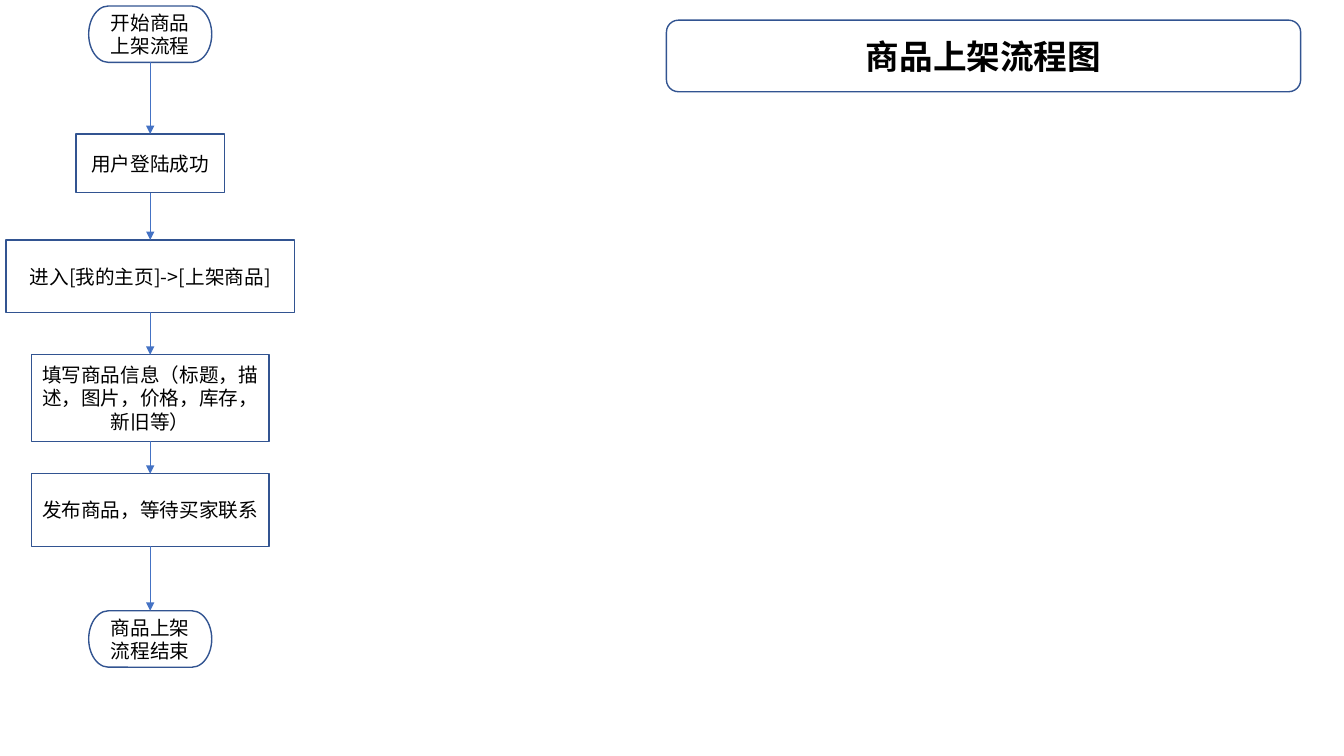
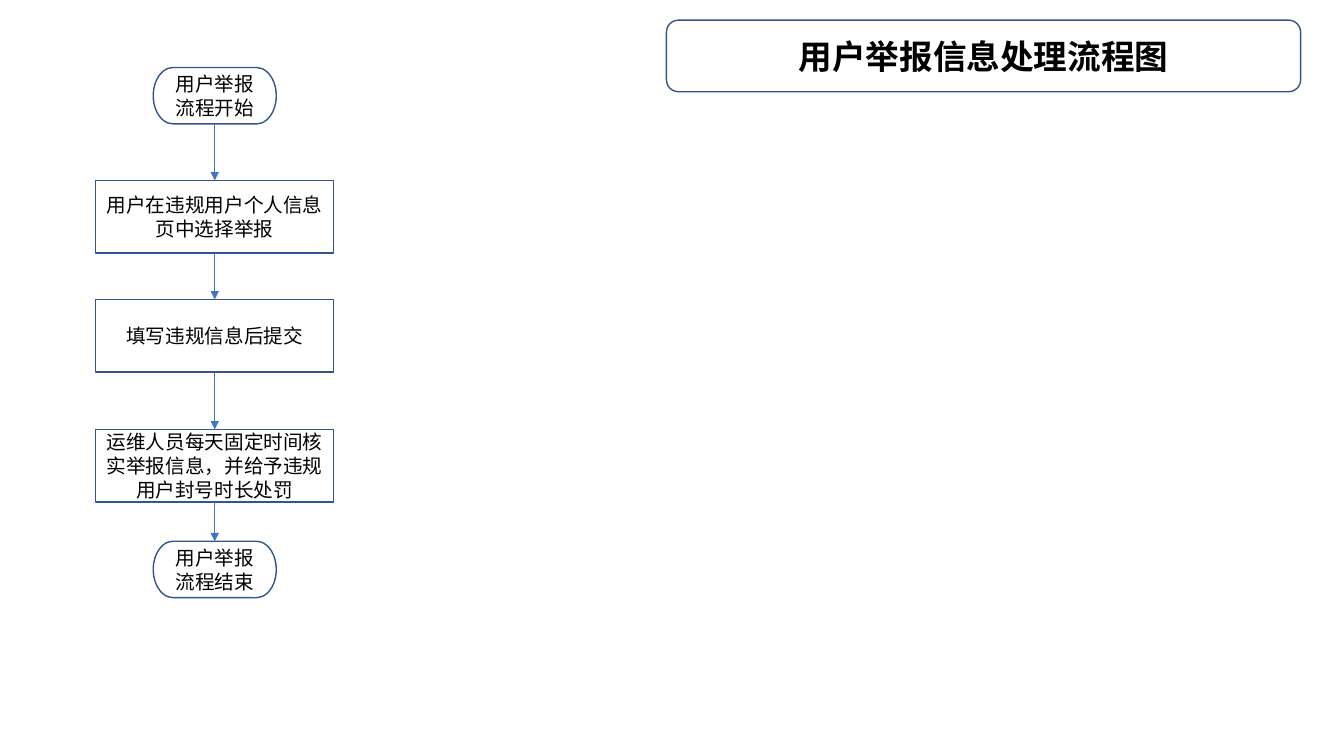
from lxml import etree
from pptx import Presentation
from pptx.dml.color import RGBColor
from pptx.enum.shapes import MSO_CONNECTOR, MSO_SHAPE
from pptx.enum.text import MSO_ANCHOR, MSO_AUTO_SIZE, PP_ALIGN
from pptx.oxml.ns import qn
from pptx.util import Inches, Pt

TERMINATOR = MSO_SHAPE.FLOWCHART_TERMINATOR
PROCESS = MSO_SHAPE.RECTANGLE
TITLE_FRAME = MSO_SHAPE.FLOWCHART_ALTERNATE_PROCESS
STRAIGHT = MSO_CONNECTOR.STRAIGHT
CENTER = PP_ALIGN.CENTER
MIDDLE = MSO_ANCHOR.MIDDLE
NO_AUTOFIT = MSO_AUTO_SIZE.NONE

FONT = "Noto Sans CJK SC"
COLORS = {"outline": "325491", "arrow": "4472C4", "text": "000000"}
TITLE_AREA = (6.61, 0.2, 6.29, 0.71)
TITLE_ONLY_LAYOUT = 5
TOP_SITE, BOTTOM_SITE = 0, 2

END_SIZE = (1.22, 0.56)
STEP_SIZE = (2.36, 0.72)

# Each step: shape, text, top, (width, height)
FLOWS = [
    {
        "title": "商品上架流程图",
        "center": 1.49,
        "steps": [
            (TERMINATOR, "开始商品上架流程", 0.06, END_SIZE),
            (PROCESS, "用户登陆成功", 1.33, (1.47, 0.58)),
            (PROCESS, "进入[我的主页]->[上架商品]", 2.38, (2.86, 0.72)),
            (PROCESS, "填写商品信息（标题，描述，图片，价格，库存，新旧等）", 3.52, (2.36, 0.86)),
            (PROCESS, "发布商品，等待买家联系", 4.7, STEP_SIZE),
            (TERMINATOR, "商品上架流程结束", 6.06, END_SIZE),
        ],
    },
    {
        "title": "用户举报信息处理流程图",
        "center": 2.13,
        "steps": [
            (TERMINATOR, "用户举报流程开始", 0.67, END_SIZE),
            (PROCESS, "用户在违规用户个人信息页中选择举报", 1.79, STEP_SIZE),
            (PROCESS, "填写违规信息后提交", 2.97, STEP_SIZE),
            (PROCESS, "运维人员每天固定时间核实举报信息，并给予违规用户封号时长处罚", 4.26, STEP_SIZE),
            (TERMINATOR, "用户举报流程结束", 5.37, END_SIZE),
        ],
    },
]


def color(name):
    return RGBColor.from_string(COLORS[name])


def write_text(shape, text, size=14, bold=False):
    frame = shape.text_frame
    frame.word_wrap = True
    frame.auto_size = NO_AUTOFIT
    frame.vertical_anchor = MIDDLE
    para = frame.paragraphs[0]
    para.alignment = CENTER
    span = para.add_run()
    span.text = text
    span.font.size = Pt(size)
    span.font.bold = bold
    span.font.name = FONT
    span.font.color.rgb = color("text")
    east_asian = etree.SubElement(span.font._element, qn("a:ea"))
    east_asian.set("typeface", FONT)


def add_outline(page, kind, left, top, width, height):
    box = page.shapes.add_shape(
        kind, Inches(left), Inches(top), Inches(width), Inches(height))
    box.shadow.inherit = False
    box.fill.background()
    box.line.color.rgb = color("outline")
    box.line.width = Pt(1)
    return box


def add_title(page, text):
    add_outline(page, TITLE_FRAME, *TITLE_AREA)
    title = page.shapes.title
    title.left, title.top, title.width, title.height = map(Inches, TITLE_AREA)
    write_text(title, text, size=24, bold=True)


def add_step(page, center, kind, text, top, size):
    width, height = size
    box = add_outline(page, kind, center - width / 2, top, width, height)
    write_text(box, text)
    return box


def add_arrow(page, upper, lower):
    arrow = page.shapes.add_connector(STRAIGHT, 0, 0, 0, 0)
    arrow.begin_connect(upper, BOTTOM_SITE)
    arrow.end_connect(lower, TOP_SITE)
    arrow.line.color.rgb = color("arrow")
    arrow.line.width = Pt(0.5)
    etree.SubElement(arrow.line._get_or_add_ln(), qn("a:tailEnd")).set("type", "triangle")
    etree.SubElement(arrow._element.spPr, qn("a:effectLst"))


def add_flow_page(deck, flow):
    page = deck.slides.add_slide(deck.slide_layouts[TITLE_ONLY_LAYOUT])
    add_title(page, flow["title"])
    boxes = [add_step(page, flow["center"], *step) for step in flow["steps"]]
    for upper, lower in zip(boxes, boxes[1:]):
        add_arrow(page, upper, lower)


def main():
    deck = Presentation()
    deck.slide_width = Inches(13.33)
    deck.slide_height = Inches(7.5)
    for flow in FLOWS:
        add_flow_page(deck, flow)
    deck.save("out.pptx")


if __name__ == "__main__":
    main()
